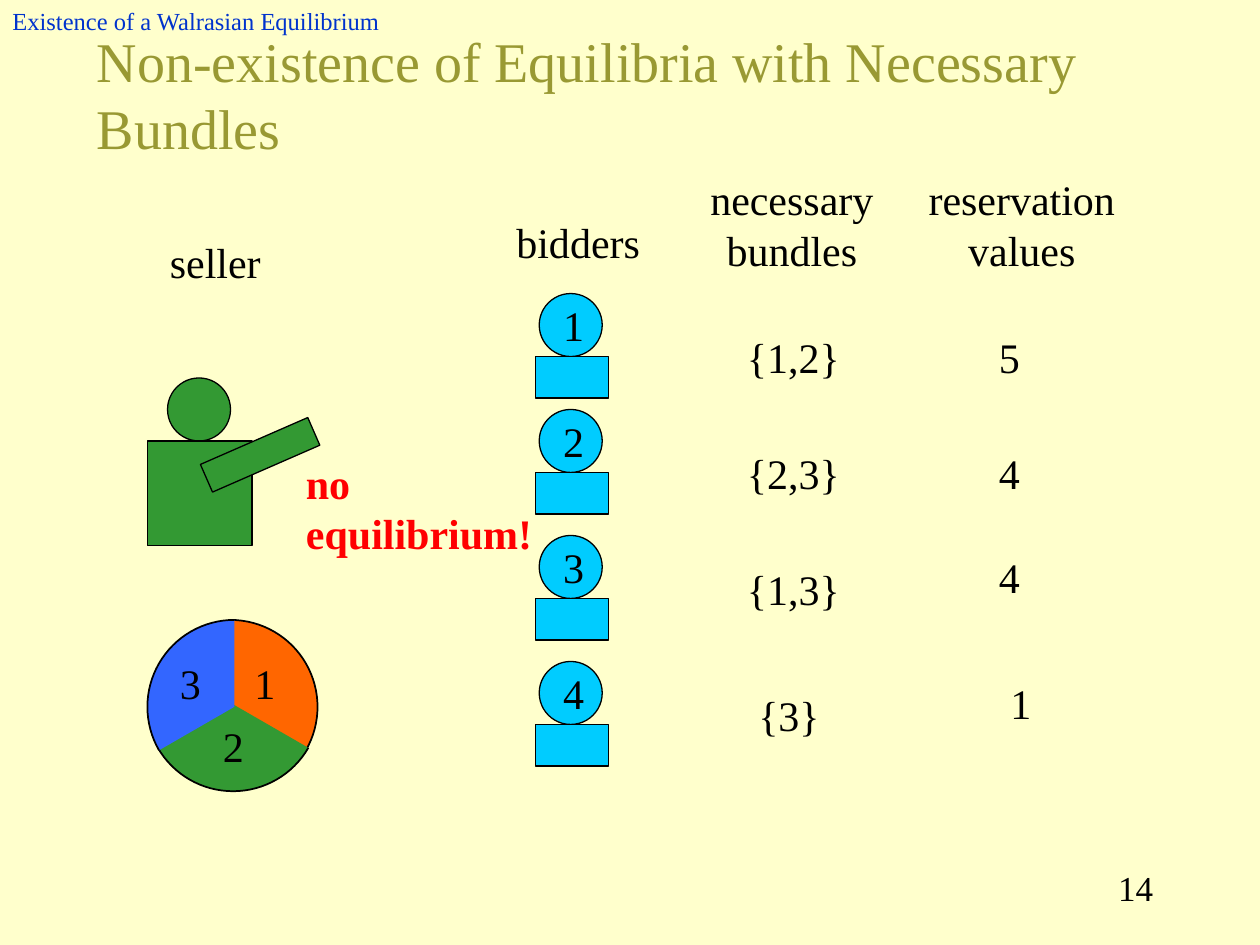
from pptx import Presentation
from pptx import util as u
from pptx.dml.color import RGBColor
from pptx.enum import shapes, text

FONT = "Times New Roman"
BLACK, GREEN, CYAN = "000000", "339933", "00CCFF"
KIND = shapes.MSO_SHAPE
ALIGN = text.PP_ALIGN
ANCHOR = text.MSO_ANCHOR


def color(hex_code):
    return RGBColor.from_string(hex_code)


def add_text(parent, words, left, top, width, height=0.5, size=24, ink=BLACK,
             bold=False, align=ALIGN.LEFT, anchor=ANCHOR.TOP):
    box = parent.add_textbox(*map(u.Inches, (left, top, width, height)))
    frame = box.text_frame
    frame.word_wrap = True
    frame.vertical_anchor = anchor
    para = frame.paragraphs[0]
    para.alignment = align
    span = para.add_run()
    span.text = words
    span.font.name = FONT
    span.font.size = u.Pt(size)
    span.font.bold = bold
    span.font.color.rgb = color(ink)


def add_figure(parent, kind, left, top, width, height, fill=None, line=0.75):
    """Add a preset shape; fill None or line 0 leaves that part out."""
    shape = parent.add_shape(kind, *map(u.Inches, (left, top, width, height)))
    shape.shadow.inherit = False
    if fill:
        shape.fill.solid()
        shape.fill.fore_color.rgb = color(fill)
    else:
        shape.fill.background()
    if line:
        shape.line.color.rgb = color(BLACK)
        shape.line.width = u.Pt(line)
    else:
        shape.line.fill.background()
    return shape


def add_headings(page):
    add_text(page.shapes, "Non-existence of Equilibria with Necessary Bundles",
             0.67, 0.33, 8.5, 0.83, size=32, ink="999933", anchor=ANCHOR.MIDDLE)
    add_text(page.shapes, "Existence of a Walrasian Equilibrium",
             0, 0, 3.58, 0.33, size=14, ink="0033CC", anchor=ANCHOR.MIDDLE)
    add_text(page.shapes, "seller", 1.25, 1.83, 1)
    add_text(page.shapes, "bidders", 4, 1.67, 1.26)
    for words, left, width in (("necessary bundles", 5.5, 1.57),
                               ("reservation values", 7.25, 1.72)):
        add_text(page.shapes, words, left, 1.33, width, 0.9, align=ALIGN.CENTER)


def add_seller(page, left, top):
    group = page.shapes.add_group_shape().shapes
    add_figure(group, KIND.OVAL, left + 0.16, top, 0.5, 0.5, GREEN)
    add_figure(group, KIND.RECTANGLE, left, top + 0.5, 0.83, 0.83, GREEN)
    arm = add_figure(group, KIND.RECTANGLE, left + 0.43, top + 0.49, 0.93, 0.24, GREEN)
    arm.rotation = 336.4


def add_bidder(page, number, left, top):
    group = page.shapes.add_group_shape().shapes
    add_figure(group, KIND.OVAL, left + 0.03, top, 0.5, 0.5, CYAN)
    add_text(group, number, left + 0.12, top, 0.41)
    add_figure(group, KIND.RECTANGLE, left, top + 0.5, 0.58, 0.33, CYAN)


def add_bidder_rows(page):
    # bidder top, bundle, its left and top, value, its left and top
    rows = (
        (2.33, "{1,2}", 5.83, 2.58, "5", 7.83, 2.58),
        (3.25, "{2,3}", 5.83, 3.5, "4", 7.83, 3.5),
        (4.25, "{1,3}", 5.83, 4.42, "4", 7.83, 4.33),
        (5.25, "{3}", 5.92, 5.42, "1", 7.92, 5.33),
    )
    for number, row in enumerate(rows, start=1):
        top, bundle, bundle_left, bundle_top, value, value_left, value_top = row
        add_bidder(page, str(number), 4.25, top)
        add_text(page.shapes, bundle, bundle_left, bundle_top, 1)
        add_text(page.shapes, value, value_left, value_top, 0.42)


def add_goods_pie(page, left, top, size):
    """Draw three equal slices, each outlined only along its rim."""
    group = page.shapes.add_group_shape().shapes
    # fill, slice offset, label offset
    slices = (
        ("FF6600", (0, 0.02), (0.78, 0.27)),
        (GREEN, (0.02, 0), (0.53, 0.77)),
        ("3366FF", (0.03, 0.02), (0.19, 0.27)),
    )
    for index, (fill, (dx, dy), (label_x, label_y)) in enumerate(slices):
        start = (270 + 120 * index) % 360
        end = (start + 120) % 360
        for kind, inside, line in ((KIND.PIE, fill, 0), (KIND.ARC, None, 1)):
            part = add_figure(group, kind, left + dx, top + dy, size, size, inside, line)
            # Angles are stored in 1/60000 degree, adjustments in 1/100000
            part.adjustments[0] = start * 0.6
            part.adjustments[1] = end * 0.6
        add_text(group, str(index + 1), left + label_x, top + label_y, 0.42)


def main():
    deck = Presentation()
    deck.slide_width, deck.slide_height = u.Inches(10), u.Inches(7.5)
    page = deck.slides.add_slide(deck.slide_layouts[6])
    page.background.fill.solid()
    page.background.fill.fore_color.rgb = color("FFFFCC")
    add_headings(page)
    add_seller(page, 1.17, 3)
    add_bidder_rows(page)
    add_text(page.shapes, "no equilibrium!", 2.33, 3.58, 2, 0.9, ink="FF0000", bold=True)
    add_goods_pie(page, 1.14, 4.9, 1.38)
    add_text(page.shapes, "14", 7.17, 6.83, 2.08, size=20, align=ALIGN.RIGHT)
    deck.save("out.pptx")


if __name__ == "__main__":
    main()
